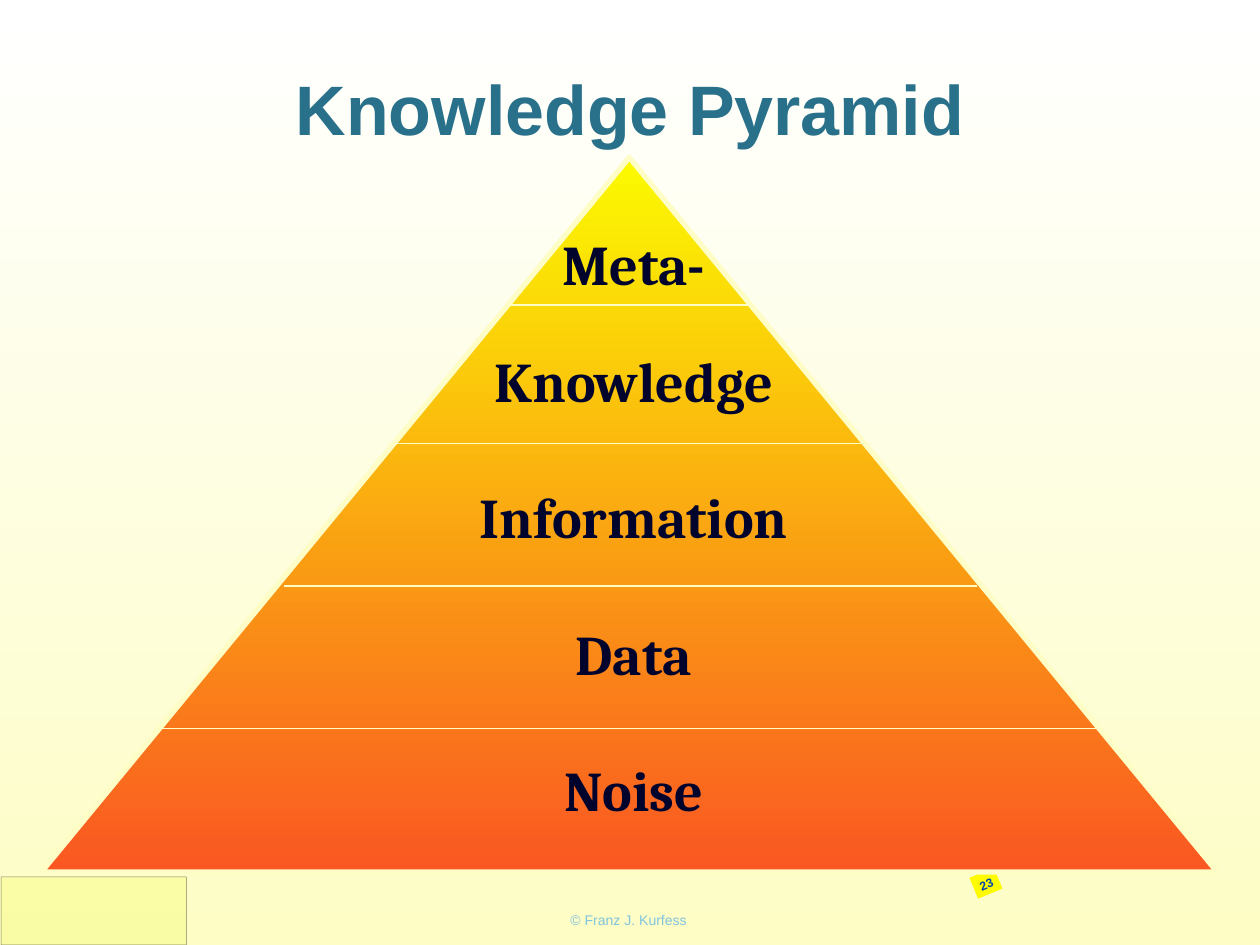
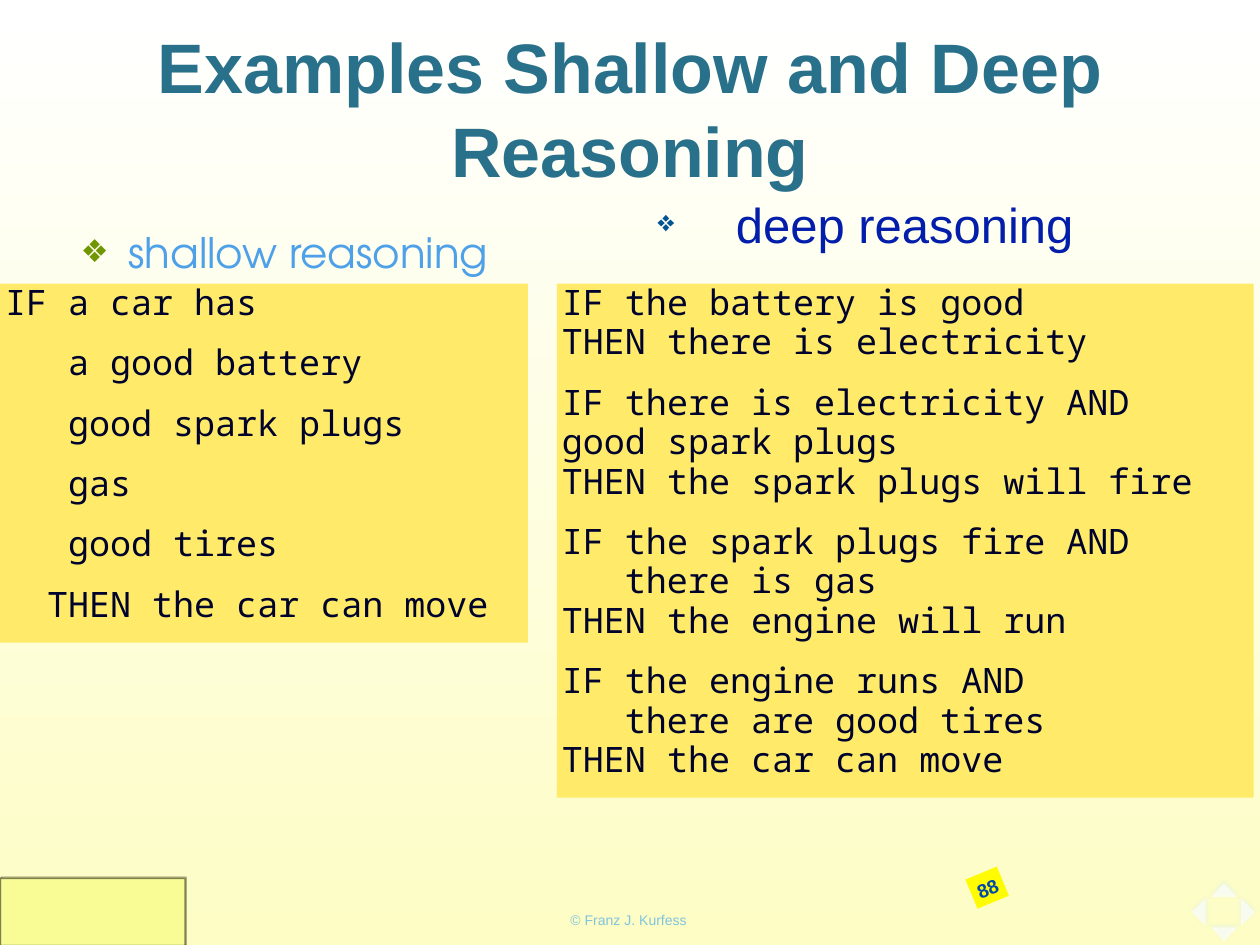
"""Build two lecture slides: the knowledge pyramid and two reasoning styles."""
from lxml import etree
from pptx import Presentation
from pptx.dml.color import RGBColor
from pptx.enum.shapes import MSO_CONNECTOR, MSO_SHAPE
from pptx.enum.text import MSO_ANCHOR, MSO_AUTO_SIZE, PP_ALIGN
from pptx.oxml.ns import qn
from pptx.util import Pt

PX = 9144
RECT, TRIANGLE, ARROW = MSO_SHAPE.RECTANGLE, MSO_SHAPE.ISOSCELES_TRIANGLE, MSO_SHAPE.RIGHT_ARROW
STRAIGHT = MSO_CONNECTOR.STRAIGHT
LEFT, CENTER = PP_ALIGN.LEFT, PP_ALIGN.CENTER
TOP, MIDDLE = MSO_ANCHOR.TOP, MSO_ANCHOR.MIDDLE
FIXED, GROW = MSO_AUTO_SIZE.NONE, MSO_AUTO_SIZE.SHAPE_TO_FIT_TEXT
TITLE_AND_BODY, TITLE_ONLY = 1, 5


class Theme:
    """Colours, text formats and bullets shared by the slides."""

    cream, white, black = "FDFDC5", "FFFFFF", "000000"
    flame, lemon = "FA5722", "FBFA00"
    panel, code_fill, tag_fill, glow = "F8FC84", "FFEB69", "FFFB00", "DDF0F6"
    title = dict(font="Arial", size=40, color="29708A", bold=True, align=CENTER)
    footer = dict(font="Arial", size=8, color="80C4DF", align=CENTER)
    tag = dict(font="Arial", color="0048AA", bold=True, align=CENTER)
    tier = dict(font="Cambria", size=32, color="00032B", bold=True, align=CENTER, margin=4)
    code = dict(font="Noto Sans Mono", size=20, color="00032B", margin=4,
                spacing=0.94, before=12, tab=50)
    shallow = dict(font="TeX Gyre Adventor", size=24, color="4EA1E8",
                   margin=38, indent=-38, bullet=("709701", 75))
    deep = dict(font="Arial", size=28, color="021EAA", spacing=0.94,
                margin=67, indent=-62, bullet=("005493", 60))


def rgb(color):
    """Turn a hex string into a colour."""
    return RGBColor.from_string(color)


def add_xml(parent, tag, **attributes):
    """Append one drawing element to its parent."""
    element = etree.SubElement(parent, qn(f"a:{tag}"))
    for name, value in attributes.items():
        element.set(name, str(value))
    return element


def paint_gradient(fill, bottom, top):
    """Fill with a vertical blend of two colours."""
    fill.gradient()
    fill.gradient_angle = 90
    for stop, color in zip(fill.gradient_stops, (bottom, top)):
        stop.color.rgb = rgb(color)


def write(tf, *texts, font, size, color, bold=False, align=LEFT, margin=0, indent=0,
          spacing=None, before=0, bullet=None, tab=None, anchor=TOP, inset=0,
          wrap=True, fit=FIXED):
    """Write one paragraph per text in the given format."""
    tf.word_wrap, tf.auto_size, tf.vertical_anchor = wrap, fit, anchor
    tf.margin_left = tf.margin_right = tf.margin_top = tf.margin_bottom = inset * PX
    for i, text in enumerate(texts):
        p = tf.add_paragraph() if i else tf.paragraphs[0]
        p.text = text
        properties = p._p.get_or_add_pPr()
        properties.set("marL", str(margin * PX))
        properties.set("indent", str(indent * PX))
        if bullet:
            bullet_color, percent = bullet
            add_xml(add_xml(properties, "buClr"), "srgbClr", val=bullet_color)
            add_xml(properties, "buSzPct", val=percent * 1000)
            add_xml(properties, "buChar", char="❖")
        if tab:
            add_xml(add_xml(properties, "tabLst"), "tab", pos=tab * PX, algn="l")
        p.alignment = align
        p.space_before = Pt(before if i else 0)
        if spacing:
            p.line_spacing = spacing
        for r in p.runs:
            r.font.name, r.font.size, r.font.bold = font, Pt(size), bold
            r.font.color.rgb = rgb(color)


class Deck:
    """Presentation with a theme and a current slide."""

    def __init__(self, theme):
        """Start an empty deck of 1000 by 750 px."""
        self.theme = theme
        self.prs = Presentation()
        self.prs.slide_width, self.prs.slide_height = 1000 * PX, 750 * PX
        self.slide = None

    def start(self, layout, title):
        """Open a slide with its background, title and footer."""
        t = self.theme
        self.slide = self.prs.slides.add_slide(self.prs.slide_layouts[layout])
        paint_gradient(self.slide.background.fill, t.cream, t.white)
        self.placeholder(0, (60, 0, 880, 170), title, anchor=MIDDLE, **t.title)
        self.panel((1, 696, 147, 54), 0.25)
        self.text((336, 717, 326, 26), "© Franz J. Kurfess", inset=4,
                  anchor=MIDDLE, fit=GROW, **t.footer)

    def placeholder(self, idx, box, text, **fmt):
        """Move and fill a template placeholder."""
        sp = self.slide.placeholders[idx]
        sp.left, sp.top, sp.width, sp.height = (v * PX for v in box)
        write(sp.text_frame, text, inset=4, **fmt)

    def text(self, box, *texts, **fmt):
        """Add a text box."""
        sp = self.slide.shapes.add_textbox(*(v * PX for v in box))
        write(sp.text_frame, *texts, **fmt)

    def shape(self, kind, box, fill, line=None, weight=1, alpha=100, rotation=0):
        """Add a preset shape with a plain or two-colour fill."""
        sp = self.slide.shapes.add_shape(kind, *(v * PX for v in box))
        sp.shadow.inherit = False
        sp.rotation = rotation
        if isinstance(fill, tuple):
            paint_gradient(sp.fill, *fill)
        else:
            sp.fill.solid()
            sp.fill.fore_color.rgb = rgb(fill)
        if line:
            sp.line.color.rgb, sp.line.width = rgb(line), Pt(weight)
        else:
            sp.line.fill.background()
        if alpha < 100:
            for color in sp.element.spPr.iter(qn("a:srgbClr")):
                add_xml(color, "alpha", val=alpha * 1000)
        return sp

    def panel(self, box, weight):
        """Add the translucent corner panel."""
        t = self.theme
        self.shape(RECT, box, t.panel, t.black, weight, alpha=48)

    def code(self, box, *texts):
        """Add a filled box of rules."""
        sp = self.shape(RECT, box, self.theme.code_fill)
        write(sp.text_frame, *texts, **self.theme.code)

    def tag(self, box, number, size):
        """Add the tilted page number."""
        sp = self.shape(RECT, box, self.theme.tag_fill, rotation=337.5)
        write(sp.text_frame, number, size=size, inset=4, wrap=False, fit=GROW, **self.theme.tag)

    def divider(self, y, half):
        """Add a level line centred on the slide."""
        line = self.slide.shapes.add_connector(
            STRAIGHT, (500 - half) * PX, y * PX, (500 + half) * PX, y * PX)
        line.line.color.rgb, line.line.width = rgb(self.theme.cream), Pt(0.75)
        add_xml(line.element.spPr, "effectLst")

    def arrow(self, box, rotation, flipped, adjustments):
        """Add a translucent navigation arrow with a soft glow."""
        sp = self.shape(ARROW, box, self.theme.white, alpha=60, rotation=rotation)
        for i, value in enumerate(adjustments):
            sp.adjustments[i] = value
        if flipped:
            sp.element.spPr.xfrm.set("flipH", "1")
        effects = sp.element.spPr.find(qn("a:effectLst"))
        shadow = add_xml(effects, "outerShdw", blurRad=Pt(2), dist=Pt(1),
                         dir=270 * 60000, rotWithShape=0)
        add_xml(add_xml(shadow, "srgbClr", val=self.theme.glow), "alpha", val=80000)


def build_pyramid(deck):
    """Draw the knowledge pyramid slide."""
    t = deck.theme
    deck.start(TITLE_ONLY, "Knowledge Pyramid")
    deck.tag((772, 692, 21, 18), "23", 7)
    deck.shape(TRIANGLE, (33, 125, 933, 567), (t.flame, t.lemon), t.cream, 3)
    for y, half in ((578, 375), (465, 275), (352, 192), (242, 96)):
        deck.divider(y, half)
    tiers = {"Noise": 600, "Data": 492, "Information": 383, "Knowledge": 275, "Meta-": 182}
    for name, top in tiers.items():
        deck.text((317, top, 368, 64), name, fit=GROW, **t.tier)


def build_reasoning(deck):
    """Draw the slide that compares shallow and deep reasoning."""
    t = deck.theme
    deck.start(TITLE_AND_BODY, "Examples Shallow and Deep Reasoning")
    deck.placeholder(1, (60, 176, 879, 522), "shallow reasoning", **t.shallow)
    deck.panel((0, 697, 147, 54), 1)
    for box, rotation, flipped, adjustments in (
        ((985, 713, 11, 22), 0, False, (0.41, 1.95)),
        ((946, 713, 11, 22), 0, True, (0.41, 1.95)),
        ((966, 696, 11, 21), 90, True, (1, 3.29)),
        ((966, 731, 11, 21), 270, True, (0.31, 2.07)),
    ):
        deck.arrow(box, rotation, flipped, adjustments)
    deck.text((517, 158, 478, 43), "deep reasoning", fit=GROW, **t.deep)
    deck.code((0, 225, 419, 285),
              "IF a car has",
              "\ta good battery",
              "\tgood spark plugs",
              "\tgas",
              "\tgood tires",
              "  THEN the car can move")
    deck.code((442, 225, 553, 408),
              "IF the battery is good\nTHEN there is electricity",
              "IF there is electricity AND\tgood spark plugs\nTHEN the spark plugs will fire",
              "IF the spark plugs fire AND\n\tthere is gas\nTHEN the engine will run",
              "IF the engine runs AND\n\tthere are good tires\nTHEN the car can move")
    deck.tag((770, 692, 27, 25), "88", 11)


def main():
    """Build and save the deck."""
    deck = Deck(Theme())
    build_pyramid(deck)
    build_reasoning(deck)
    deck.prs.save("out.pptx")


if __name__ == "__main__":
    main()
